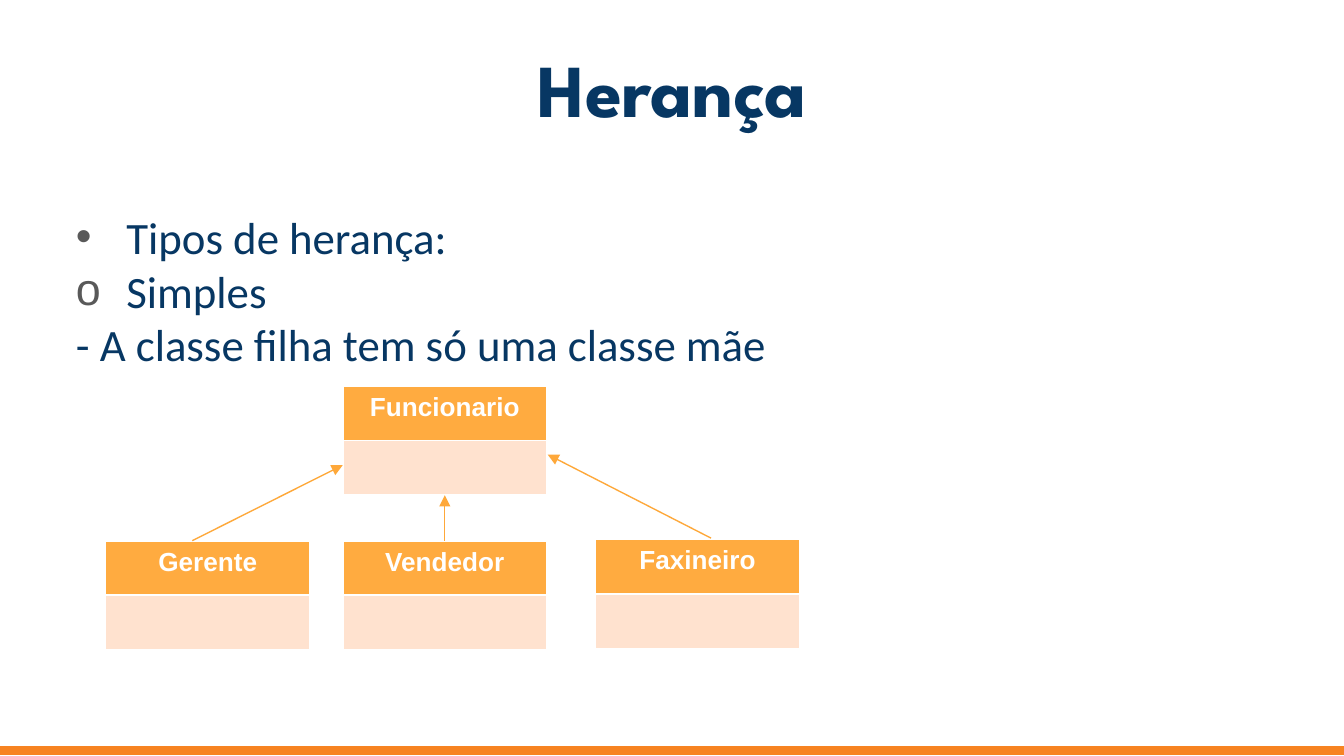
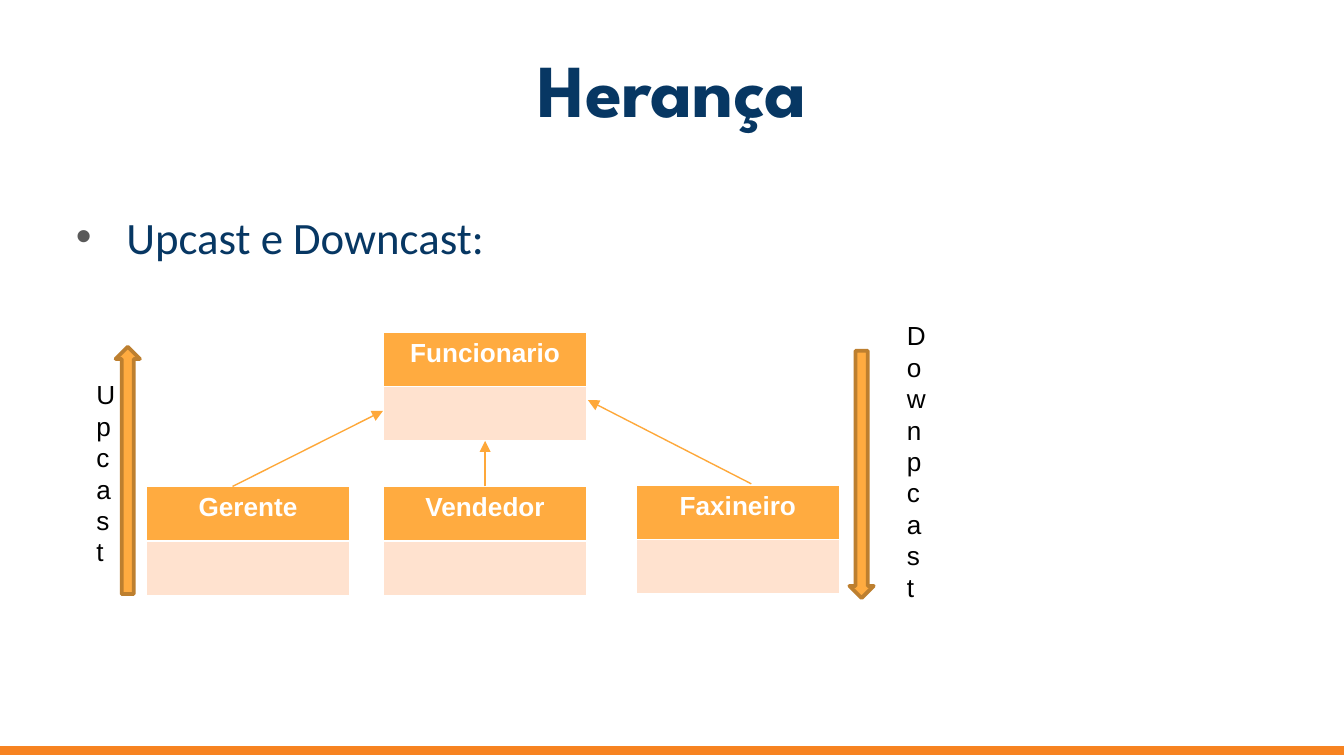
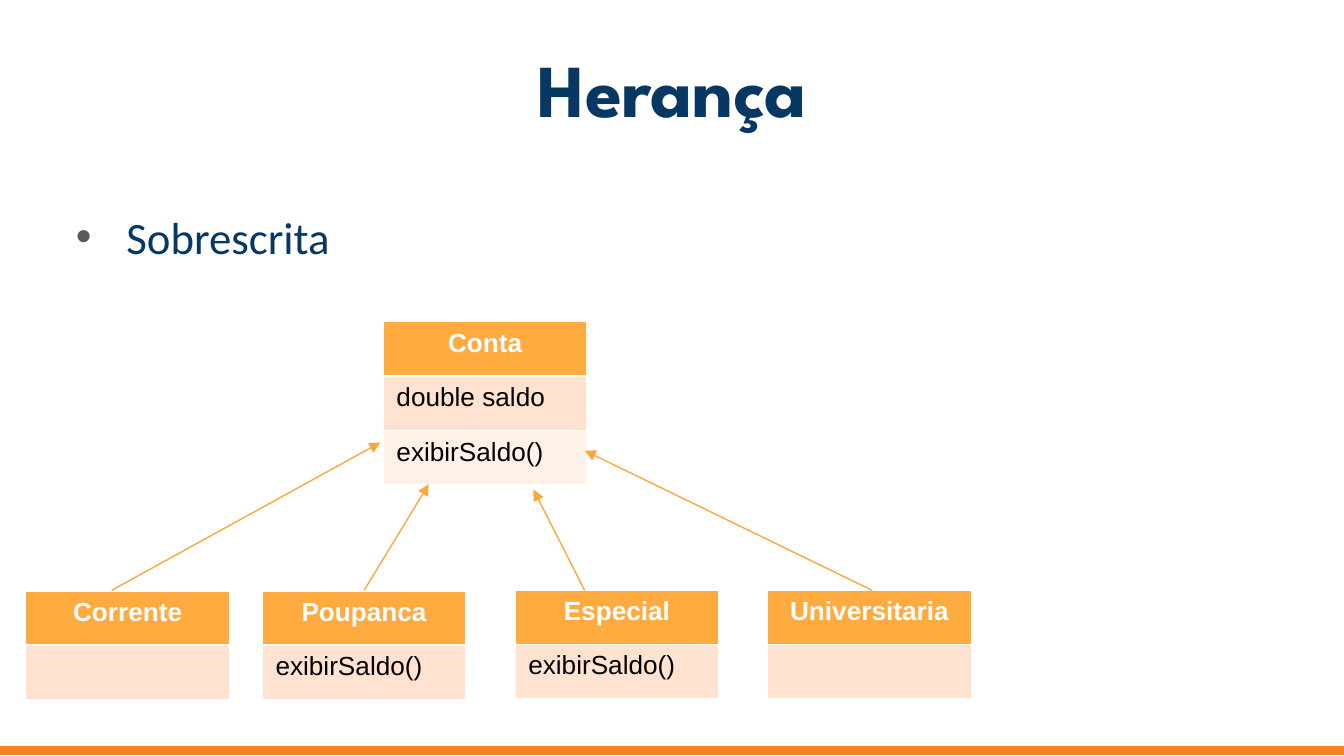
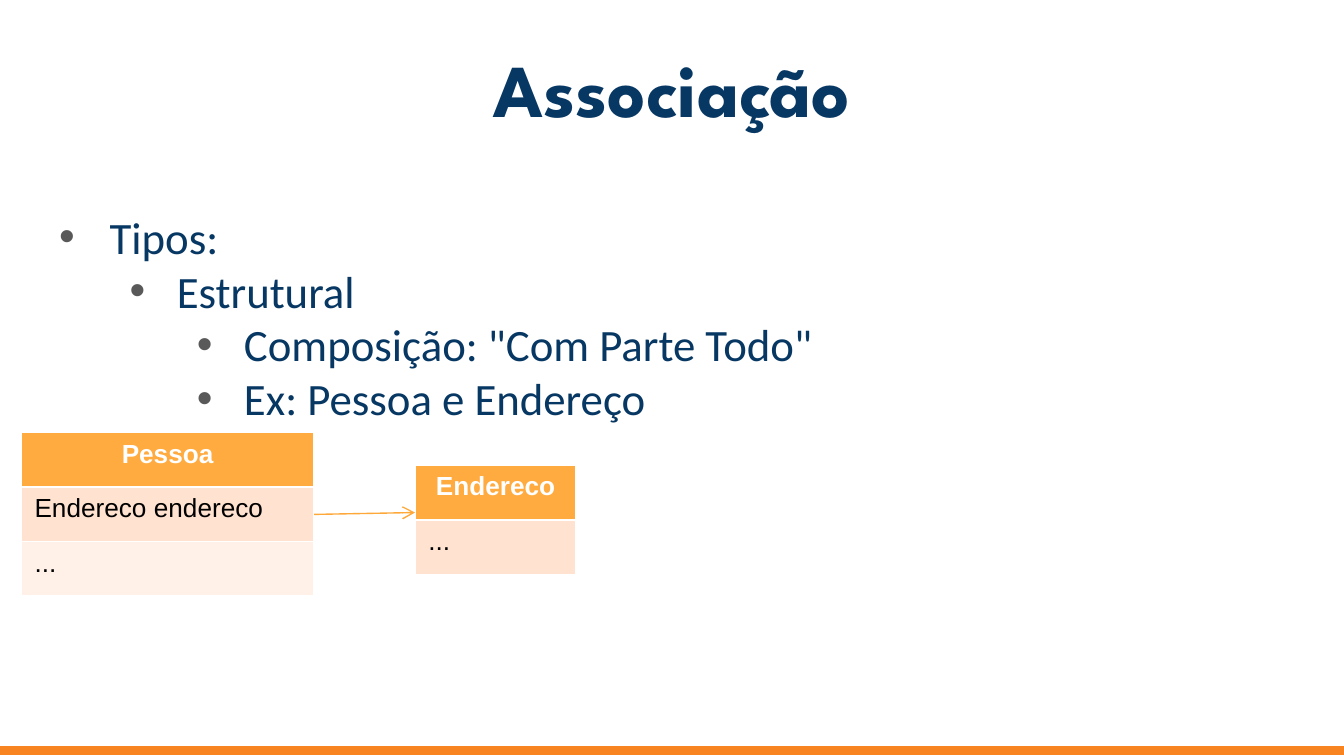
from lxml import etree
from pptx import Presentation
from pptx.dml.color import RGBColor
from pptx.enum.shapes import MSO_CONNECTOR, MSO_SHAPE
from pptx.enum.text import MSO_ANCHOR, MSO_AUTO_SIZE, PP_ALIGN
from pptx.oxml.ns import qn
from pptx.util import Pt

STRAIGHT = MSO_CONNECTOR.STRAIGHT
RECTANGLE, RIGHT_ARROW = MSO_SHAPE.RECTANGLE, MSO_SHAPE.RIGHT_ARROW
TOP, MIDDLE = MSO_ANCHOR.TOP, MSO_ANCHOR.MIDDLE
LEFT, CENTER = PP_ALIGN.LEFT, PP_ALIGN.CENTER
NO_AUTOFIT = MSO_AUTO_SIZE.NONE

WHITE = RGBColor(0xFF, 0xFF, 0xFF)
BLACK = RGBColor(0x00, 0x00, 0x00)
NAVY = RGBColor(0x07, 0x37, 0x63)
BULLET_GRAY = RGBColor(0x59, 0x59, 0x59)
BAND_ORANGE = RGBColor(0xF7, 0x83, 0x21)
HEADER_ORANGE = RGBColor(0xFF, 0xAB, 0x40)
LINK_ORANGE = RGBColor(0xFE, 0xA8, 0x3A)
ARROW_EDGE = RGBColor(0xBD, 0x7F, 0x2F)
MEMBER_FILLS = (RGBColor(0xFF, 0xE2, 0xCF), RGBColor(0xFF, 0xF1, 0xE8))

TITLE_FONT = {"name": "League Spartan", "size": Pt(40), "bold": True}
BODY_FONT = {"name": "Calibri", "size": Pt(24), "bold": False}
HEADER_FONT = {"name": "Arial", "size": Pt(14), "bold": True}
LABEL_FONT = {"name": "Arial", "size": Pt(14), "bold": False}

# Boxes are left, top, width, height in points.
PAGE_SIZE = (720, 405)
TITLE_BOX = (24.5, 23.8, 671, 46.8)
BODY_BOX = (24.5, 105.1, 641.5, 233.3)
BAND_BOX = (0, 399.9, 720, 4.3)
INSET = 7.2
ROW_HEIGHT = 29.2
CLASS_WIDTH = 109.4
BOTTOM, RIGHT_SIDE, TOP_SIDE = 2, 3, 0

# Paragraph styles: level, left margin, first-line indent, bullet.
DOT = (0, 36, -27, "•")
CIRCLE = (0, 36, -27, "o")
PLAIN = (0, 9, 0, None)
OUTLINE = [(0, 27, -27, "•"), (1, 63, -25.2, "•"), (2, 99, -25.2, "•")]

# Class: name, left and top from the diagram's origin, width, members.
# Link: start, end, arrowhead; an end is a point or a (class name, side).
EMPLOYEES = {
    "classes": [
        ("Funcionario", 0, 0, CLASS_WIDTH, [""]),
        ("Gerente", -127, 82.8, CLASS_WIDTH, [""]),
        ("Vendedor", 0, 82.8, CLASS_WIDTH, [""]),
        ("Faxineiro", 135.4, 82.1, CLASS_WIDTH, [""]),
    ],
    "links": [
        ((-80.6, 82.8), (0, 42.3), "triangle"),
        (("Vendedor", TOP_SIDE), ("Funcionario", BOTTOM), "triangle"),
        ((197.3, 81.4), (109.8, 36.6), "triangle"),
    ],
}
ACCOUNTS = {
    "classes": [
        ("Conta", 0, 0, CLASS_WIDTH, ["double saldo", "exibirSaldo()"]),
        ("Corrente", -191.5, 144.2, CLASS_WIDTH, [""]),
        ("Poupanca", -64.8, 144.2, CLASS_WIDTH, ["exibirSaldo()"]),
        ("Especial", 70.6, 143.8, CLASS_WIDTH, ["exibirSaldo()"]),
        ("Universitaria", 205.9, 143.8, CLASS_WIDTH, [""]),
    ],
    "links": [
        ((-145.4, 144), (-1.4, 64.8), "triangle"),
        ((-10.1, 144), (24.5, 87.1), "triangle"),
        ((262.1, 144), (108, 69.1), "triangle"),
        ((108, 144), (80.6, 90), "triangle"),
    ],
}
ASSOCIATION = {
    "classes": [
        ("Pessoa", 0, 0, 157, ["Endereco endereco", "..."]),
        ("Endereco", 211, 17.6, 86.4, ["..."]),
    ],
    "links": [(("Pessoa", RIGHT_SIDE), (211, 42.8), "arrow")],
}

# Cast: arrow box, rotation, label box, label lines.
CASTS = [
    ((2.2, 245.5, 132.5, 13), 270, (44.6, 199.4, 26.6, 108.7), list("Upcast")),
    ((395.3, 247.7, 132.5, 13), 90, (478.8, 167.8, 26.6, 159.8), ["Down", *"pcast"]),
]

PAGES = [
    {"title": "Herança", "origin": (183.6, 206.9), "diagram": EMPLOYEES, "casts": [],
     "body": [("Tipos de herança:", DOT), ("Simples", CIRCLE),
              ("- A classe filha tem só uma classe mãe", PLAIN)]},
    {"title": "Herança", "origin": (205.2, 177.8), "diagram": EMPLOYEES, "casts": CASTS,
     "body": [("Upcast e Downcast:", DOT)]},
    {"title": "Herança", "origin": (205.2, 172.3), "diagram": ACCOUNTS, "casts": [],
     "body": [("Sobrescrita", DOT)]},
    {"title": "Associação", "origin": (11.3, 231.8), "diagram": ASSOCIATION, "casts": [],
     "body": [("Tipos:", OUTLINE[0]), ("Estrutural", OUTLINE[1]),
              ('Composição: "Com Parte Todo"', OUTLINE[2]),
              ("Ex: Pessoa e Endereço", OUTLINE[2])]},
]


def points(values):
    return [Pt(value) for value in values]


def set_values(target, values):
    for name, value in values.items():
        setattr(target, name, value)


def write(para, text, font, color, align=LEFT):
    para.alignment = align
    span = para.add_run()
    span.text = text
    set_values(span.font, font)
    span.font.color.rgb = color


def write_lines(frame, lines, font, color, align=LEFT):
    """Write one paragraph per line and return the paragraphs."""
    paras = []
    for index, line in enumerate(lines):
        para = frame.add_paragraph() if index else frame.paragraphs[0]
        write(para, line, font, color, align)
        set_values(para, {"space_before": Pt(0), "space_after": Pt(0), "line_spacing": 1.0})
        paras.append(para)
    return paras


def place_placeholder(shape, box, anchor):
    set_values(shape, dict(zip(("left", "top", "width", "height"), points(box))))
    margins = {f"margin_{side}": Pt(INSET) for side in ("left", "top", "right", "bottom")}
    set_values(shape.text_frame, {"word_wrap": True, "auto_size": NO_AUTOFIT,
                                  "vertical_anchor": anchor, **margins})
    return shape.text_frame


def set_bullet(para, level, margin, indent, bullet):
    para.level = level
    props = para._p.get_or_add_pPr()
    props.set("marL", str(Pt(margin)))
    props.set("indent", str(Pt(indent)))
    if bullet is None:
        etree.SubElement(props, qn("a:buNone"))
        return
    color = etree.SubElement(props, qn("a:buClr"))
    etree.SubElement(color, qn("a:srgbClr"), val=str(BULLET_GRAY))
    etree.SubElement(props, qn("a:buChar"), char=bullet)


def add_solid(page, kind, box, fill, edge, weight):
    shape = page.shapes.add_shape(kind, *points(box))
    shape.shadow.inherit = False
    shape.fill.solid()
    shape.fill.fore_color.rgb = fill
    shape.line.color.rgb = edge
    shape.line.width = Pt(weight)
    return shape


def add_class(page, name, box, members):
    """Add a one-column table; its default style gives the white borders."""
    frame = page.shapes.add_table(len(members) + 1, 1, *points(box))
    rows = [(name, HEADER_FONT, WHITE, CENTER, HEADER_ORANGE)]
    rows += [(member, LABEL_FONT, BLACK, LEFT, fill)
             for member, fill in zip(members, MEMBER_FILLS)]
    for index, (text, font, color, align, fill) in enumerate(rows):
        cell = frame.table.cell(index, 0)
        cell.fill.solid()
        cell.fill.fore_color.rgb = fill
        if text:
            write(cell.text_frame.paragraphs[0], text, font, color, align)
    return frame


def add_link(page, origin, start, end, head, classes):
    ends = [(0, 0) if point[0] in classes else
            points(base + offset for base, offset in zip(origin, point))
            for point in (start, end)]
    link = page.shapes.add_connector(STRAIGHT, *ends[0], *ends[1])
    for join, (name, side) in ((link.begin_connect, start), (link.end_connect, end)):
        if name in classes:
            join(classes[name], side)
    link.line.color.rgb = LINK_ORANGE
    link.line.width = Pt(0.75)
    etree.SubElement(link.line._get_or_add_ln(), qn("a:tailEnd"), type=head)
    etree.SubElement(link._element.spPr, qn("a:effectLst"))


def add_diagram(page, origin, diagram):
    classes = {}
    for name, left, top, width, members in diagram["classes"]:
        box = (origin[0] + left, origin[1] + top, width, ROW_HEIGHT * (len(members) + 1))
        classes[name] = add_class(page, name, box, members)
    for start, end, head in diagram["links"]:
        add_link(page, origin, start, end, head, classes)


def add_cast(page, arrow_box, rotation, label_box, lines):
    arrow = add_solid(page, RIGHT_ARROW, arrow_box, HEADER_ORANGE, ARROW_EDGE, 2)
    arrow.rotation = rotation
    label = page.shapes.add_textbox(*points(label_box))
    label.text_frame.word_wrap = True
    write_lines(label.text_frame, lines, LABEL_FONT, BLACK)


def add_page(deck, content):
    page = deck.slides.add_slide(deck.slide_layouts[1])
    title = place_placeholder(page.shapes.title, TITLE_BOX, MIDDLE)
    write_lines(title, [content["title"]], TITLE_FONT, NAVY, CENTER)
    body = place_placeholder(page.placeholders[1], BODY_BOX, TOP)
    lines, styles = zip(*content["body"])
    for para, style in zip(write_lines(body, lines, BODY_FONT, NAVY), styles):
        set_bullet(para, *style)
    add_solid(page, RECTANGLE, BAND_BOX, BAND_ORANGE, BAND_ORANGE, 0.75)
    add_diagram(page, content["origin"], content["diagram"])
    for cast in content["casts"]:
        add_cast(page, *cast)


def main():
    deck = Presentation()
    deck.slide_width, deck.slide_height = points(PAGE_SIZE)
    for content in PAGES:
        add_page(deck, content)
    deck.save("out.pptx")


if __name__ == "__main__":
    main()
